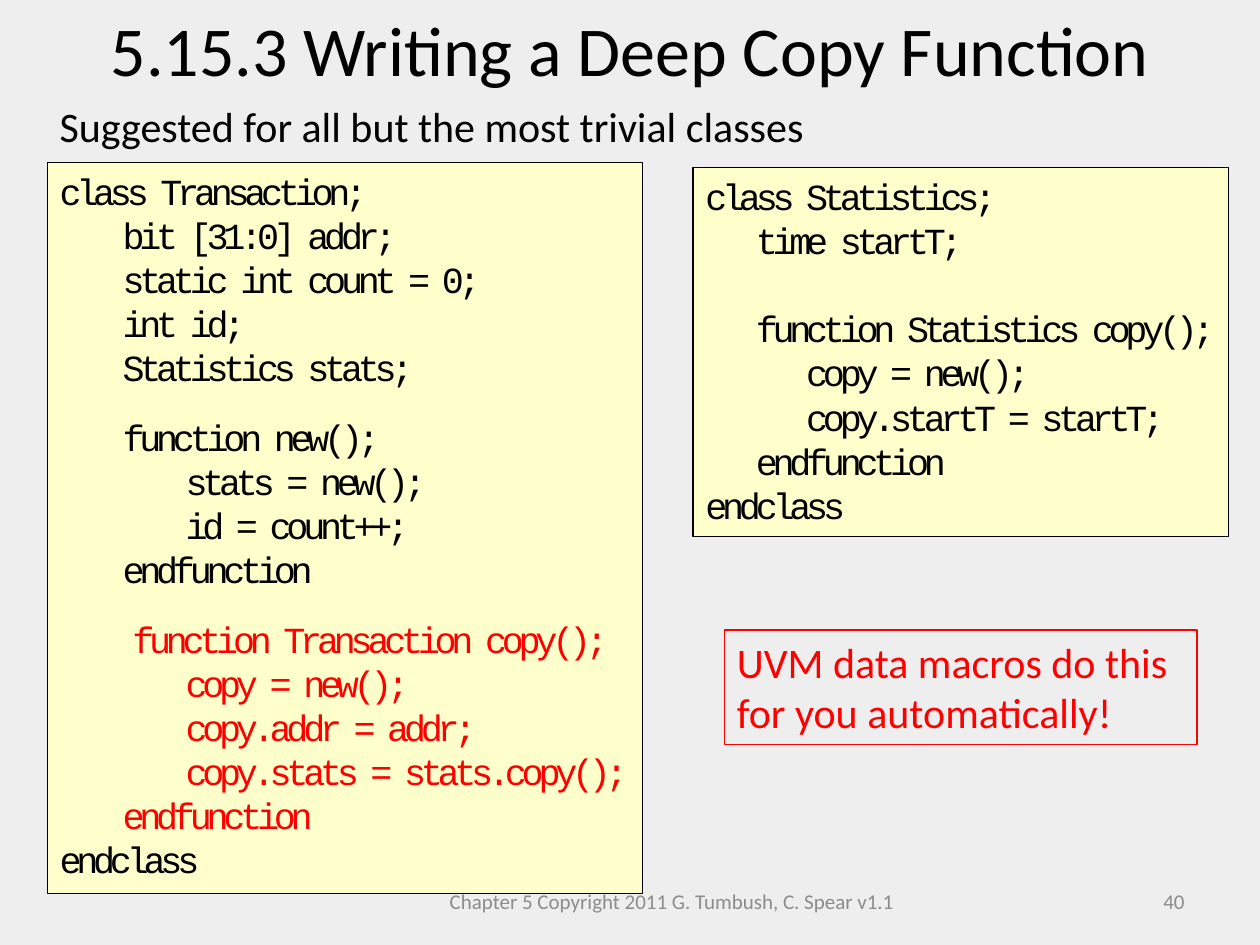
from dataclasses import dataclass
from typing import Optional

from pptx import Presentation
from pptx.dml.color import RGBColor
from pptx.enum.shapes import MSO_SHAPE
from pptx.enum.text import MSO_ANCHOR, MSO_AUTO_SIZE, PP_ALIGN
from pptx.util import Pt

BLACK = RGBColor(0x00, 0x00, 0x00)
RED = RGBColor(0xFF, 0x00, 0x00)
GRAY = RGBColor(0x8C, 0x8C, 0x8C)
CREAM = RGBColor(0xFF, 0xFF, 0xCC)
PAPER = RGBColor(0xEE, 0xEE, 0xEE)

TAB = 36        # one outline level in the Transaction listing
STEP = 28.8     # three code characters in the Statistics listing
HALF_GAP = 14.5
LINE_GAP = 25.2


@dataclass(frozen=True)
class Line:
    text: str
    indent: float = 0
    color: RGBColor = BLACK
    before: float = 0


@dataclass(frozen=True)
class Box:
    at: tuple[float, float, float, float]
    lines: list[Line]
    size: float
    font: str = "Calibri"
    align: PP_ALIGN = PP_ALIGN.LEFT
    anchor: MSO_ANCHOR = MSO_ANCHOR.TOP
    border: Optional[RGBColor] = None
    fill: Optional[RGBColor] = None
    spacing: float = 0
    wrap: bool = True
    grow: bool = True


def set_all(target: object, values: dict[str, object]) -> None:
    for name, value in values.items():
        setattr(target, name, value)


def draw_line(p, line: Line, box: Box) -> None:
    set_all(p, {"alignment": box.align, "space_before": Pt(line.before)})
    if line.indent:
        p._p.get_or_add_pPr().set("marL", str(Pt(line.indent)))
    r = p.add_run()
    r.text = line.text
    set_all(r.font, {"name": box.font, "size": Pt(box.size)})
    r.font.color.rgb = line.color
    if box.spacing:
        r._r.get_or_add_rPr().set("spc", str(int(box.spacing * 100)))


def draw_box(s, box: Box) -> None:
    place = [Pt(v) for v in box.at]
    if box.border is None:
        sp = s.shapes.add_textbox(*place)
    else:
        sp = s.shapes.add_shape(MSO_SHAPE.RECTANGLE, *place)
        sp.shadow.inherit = False
        sp.line.color.rgb = box.border
        sp.line.width = Pt(0.75)
        if box.fill is None:
            sp.fill.background()
        else:
            sp.fill.solid()
            sp.fill.fore_color.rgb = box.fill
    tf = sp.text_frame
    set_all(tf, {
        "word_wrap": box.wrap,
        "vertical_anchor": box.anchor,
        "auto_size": MSO_AUTO_SIZE.SHAPE_TO_FIT_TEXT if box.grow else MSO_AUTO_SIZE.NONE,
    })
    for i, line in enumerate(box.lines):
        draw_line(tf.add_paragraph() if i else tf.paragraphs[0], line, box)


TRANSACTION = [
    Line("class Transaction;"),
    Line("bit [31:0] addr;", TAB),
    Line("static int count = 0;", TAB),
    Line("int id;", TAB),
    Line("Statistics stats;", TAB),
    Line("function new();", TAB, before=HALF_GAP),
    Line("stats = new();", 2 * TAB),
    Line("id = count++;", 2 * TAB),
    Line("endfunction", TAB),
    Line("function Transaction copy();", 41.5, RED, HALF_GAP),
    Line("copy = new();", 2 * TAB, RED),
    Line("copy.addr = addr;", 2 * TAB, RED),
    Line("copy.stats = stats.copy();", 2 * TAB, RED),
    Line("endfunction", TAB, RED),
    Line("endclass"),
]

STATISTICS = [
    Line("class Statistics;"),
    Line("time startT;", STEP),
    Line("function Statistics copy();", STEP, before=LINE_GAP),
    Line("copy = new();", 2 * STEP),
    Line("copy.startT = startT;", 2 * STEP),
    Line("endfunction", STEP),
    Line("endclass"),
]

CODE = {"size": 21, "font": "Courier New", "border": BLACK, "fill": CREAM,
        "spacing": -3, "wrap": False}
FOOTER = {"size": 12, "anchor": MSO_ANCHOR.MIDDLE, "grow": False}

BOXES = [
    # Footer and slide number
    Box((246, 500.5, 276, 28.8),
        [Line("Chapter 5 Copyright 2011 G. Tumbush, C. Spear v1.1", color=GRAY)],
        align=PP_ALIGN.CENTER, **FOOTER),
    Box((516, 500.5, 168, 28.8), [Line("40", color=GRAY)],
        align=PP_ALIGN.RIGHT, **FOOTER),
    # Title and lead-in
    Box((0, 0, 720, 55.5), [Line("5.15.3 Writing a Deep Copy Function")], 40,
        align=PP_ALIGN.CENTER),
    Box((27, 54, 474, 36), [Line("Suggested for all but the most trivial classes")], 24),
    # Code listings
    Box((27, 92.8, 340, 418), TRANSACTION, **CODE),
    Box((396, 95.8, 306, 211), STATISTICS, **CODE),
    # Remark
    Box((414, 360, 270, 65.5),
        [Line("UVM data macros do this for you automatically!", color=RED)], 24,
        border=RED),
]


def main() -> None:
    prs = Presentation()
    set_all(prs, {"slide_width": Pt(720), "slide_height": Pt(540)})
    s = prs.slides.add_slide(prs.slide_layouts[6])
    s.background.fill.solid()
    s.background.fill.fore_color.rgb = PAPER
    for box in BOXES:
        draw_box(s, box)
    prs.save("out.pptx")


if __name__ == "__main__":
    main()
